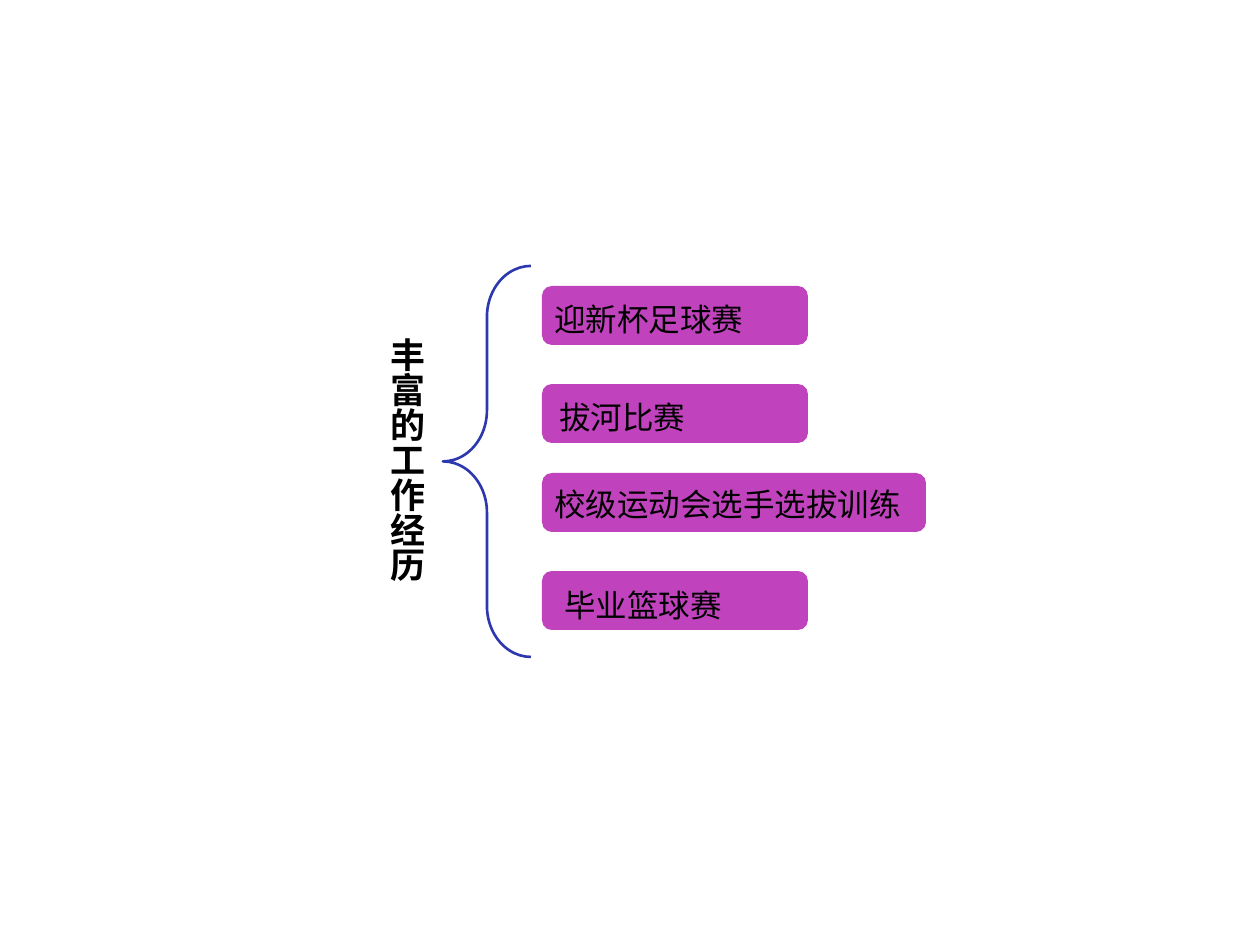
from dataclasses import dataclass

from lxml.etree import SubElement
from pptx import Presentation
from pptx.dml.color import RGBColor
from pptx.enum.shapes import MSO_SHAPE as Shape
from pptx.enum.text import MSO_AUTO_SIZE as AutoSize
from pptx.oxml.ns import qn
from pptx.util import Emu, Pt

TITLE = "丰富的工作经历"
TITLE_BOX = (328, 325, 106, 305)
BRACE_BOX = (443, 266, 88, 391)

# text, bar top, bar width, label offset from the bar (x, y), label width
ACTIVITIES = [
    ("迎新杯足球赛", 286, 266, (0, 8), 276),
    ("拔河比赛", 384, 266, (5, 8), 152),
    ("校级运动会选手选拔训练", 473, 384, (0, 6), 393),
    ("毕业篮球赛", 571, 266, (10, 9), 393),
]
BAR_LEFT, BAR_HEIGHT, LABEL_HEIGHT = 542, 59, 50


@dataclass(frozen=True)
class Theme:
    font: str = "Noto Sans CJK SC"
    bar: RGBColor = RGBColor.from_string("C043BD")
    brace: RGBColor = RGBColor.from_string("2E38AE")
    text: RGBColor = RGBColor.from_string("000000")
    title_size: Pt = Pt(20)
    label_size: Pt = Pt(18)
    brace_width: Pt = Pt(1.5)


THEME = Theme()


def px(value):
    return Emu(round(value * 914400 / 126))


def add_shape(slide, kind, box):
    shape = slide.shapes.add_shape(kind, *map(px, box))
    shape.shadow.inherit = False
    return shape


def add_text(slide, text, box, size, bold=False, vertical=False):
    frame = slide.shapes.add_textbox(*map(px, box)).text_frame
    frame.word_wrap = True
    frame.auto_size = AutoSize.SHAPE_TO_FIT_TEXT
    if vertical:
        frame._txBody.bodyPr.set("vert", "eaVert")
    paragraph = frame.paragraphs[0]
    paragraph.text = text
    font = paragraph.font
    font.name, font.size, font.bold = THEME.font, size, bold
    font.color.rgb = THEME.text
    # Chinese glyphs take the East Asian typeface, which is set on the run
    run_properties = paragraph.runs[0]._r.get_or_add_rPr()
    SubElement(run_properties, qn("a:ea"), typeface=THEME.font)


def add_bar(slide, top, width):
    bar = add_shape(slide, Shape.ROUNDED_RECTANGLE, (BAR_LEFT, top, width, BAR_HEIGHT))
    bar.fill.solid()
    bar.fill.fore_color.rgb = THEME.bar
    bar.line.fill.background()


def add_brace(slide):
    brace = add_shape(slide, Shape.LEFT_BRACE, BRACE_BOX)
    brace.adjustments[0] = 0.58
    brace.adjustments[1] = 0.5
    brace.fill.background()
    brace.line.color.rgb = THEME.brace
    brace.line.width = THEME.brace_width


def main():
    presentation = Presentation()
    presentation.slide_width, presentation.slide_height = px(1260), px(945)
    slide = presentation.slides.add_slide(presentation.slide_layouts[6])

    for text, top, width, (dx, dy), label_width in ACTIVITIES:
        add_bar(slide, top, width)
        label_box = (BAR_LEFT + dx, top + dy, label_width, LABEL_HEIGHT)
        add_text(slide, text, label_box, THEME.label_size)
    add_brace(slide)
    add_text(slide, TITLE, TITLE_BOX, THEME.title_size, bold=True, vertical=True)

    presentation.save("out.pptx")


if __name__ == "__main__":
    main()
